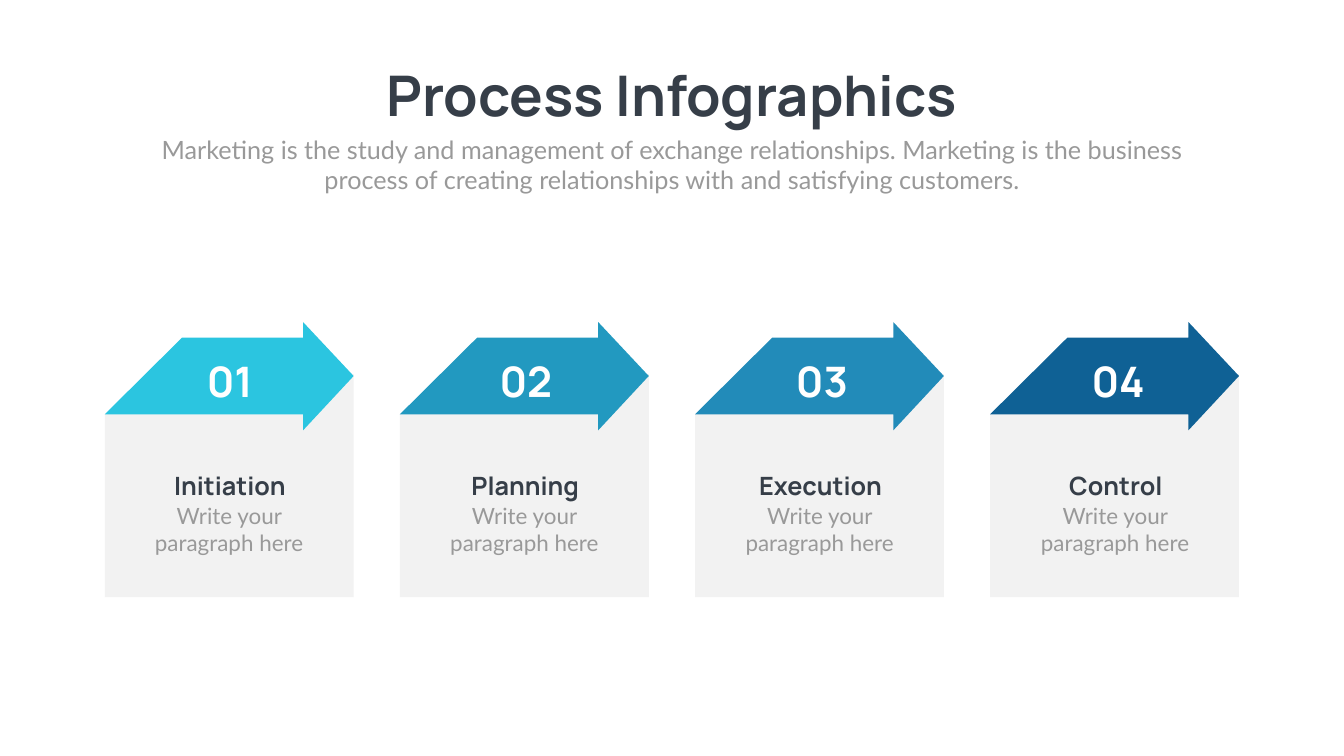
from pptx import Presentation
from pptx.dml.color import RGBColor
from pptx.enum.text import MSO_ANCHOR, MSO_AUTO_SIZE, PP_ALIGN
from pptx.util import Cm, Pt

CENTER = PP_ALIGN.CENTER
TOP = MSO_ANCHOR.TOP
GROW = MSO_AUTO_SIZE.SHAPE_TO_FIT_TEXT
TITLE_ONLY = 5

DARK, GRAY, PALE, WHITE = "363E48", "999999", "F2F2F2", "FFFFFF"

# Font formats by role
TITLE = {"name": "Manrope", "size": Pt(80), "bold": True, "color": DARK}
SUBTITLE = {"name": "Lato", "size": Pt(36), "bold": False, "color": GRAY}
NUMBER = {"name": "Manrope", "size": Pt(60), "bold": True, "color": WHITE}
HEADING = {"name": "Manrope", "size": Pt(36), "bold": True, "color": DARK}
BODY = {"name": "Lato", "size": Pt(32), "bold": False, "color": GRAY}

# Steps: name and arrow colour
STEPS = [
    ("Initiation", "2BC5E0"),
    ("Planning", "2299C0"),
    ("Execution", "228BB9"),
    ("Control", "0F6195"),
]

# Column grid and outlines in cm; outline x is measured from the column's left
COLUMN_LEFT, COLUMN_PITCH = 5.28, 14.87
NUMBER_LEFT, NUMBER_PITCH = 9.19, 14.92
LABEL_LEFT, LABEL_PITCH = 7.32, 14.88
CARD = [(0, 20.88), (12.54, 18.85), (12.54, 30.1), (0, 30.1)]
ARROW = [(9.99, 17.02), (3.89, 17.02), (0, 20.88), (9.99, 20.88),
         (9.99, 21.69), (12.54, 18.95), (9.99, 16.23)]


def color(hex_value):
    return RGBColor.from_string(hex_value)


def write_text(shape, text, font_format):
    """Fill a shape with one centred paragraph."""
    frame = shape.text_frame
    frame_format = {"word_wrap": True, "auto_size": GROW, "vertical_anchor": TOP}
    for attribute, value in frame_format.items():
        setattr(frame, attribute, value)
    paragraph = frame.paragraphs[0]
    paragraph.text = text
    paragraph.alignment = CENTER
    for attribute, value in font_format.items():
        if attribute == "color":
            paragraph.font.color.rgb = color(value)
        else:
            setattr(paragraph.font, attribute, value)


def add_title(slide, text, left, top, width, height):
    title = slide.shapes.title
    position = {"left": left, "top": top, "width": width, "height": height}
    for attribute, value in position.items():
        setattr(title, attribute, Cm(value))
    write_text(title, text, TITLE)


def add_text(shapes, text, font_format, left, top, width, height):
    box = shapes.add_textbox(Cm(left), Cm(top), Cm(width), Cm(height))
    write_text(box, text, font_format)


def add_outline(slide, outline, left, fill):
    points = [(Cm(left + x), Cm(y)) for x, y in outline]
    builder = slide.shapes.build_freeform(*points[0])
    builder.add_line_segments(points[1:], close=True)
    shape = builder.convert_to_shape()
    shape.shadow.inherit = False
    shape.fill.solid()
    shape.fill.fore_color.rgb = color(fill)
    shape.line.fill.background()


def add_step(slide, index, name, fill):
    # Card with its arrow on top
    column_left = COLUMN_LEFT + index * COLUMN_PITCH
    add_outline(slide, CARD, column_left, PALE)
    add_outline(slide, ARROW, column_left, fill)

    # Heading and paragraph belong together
    label_left = LABEL_LEFT + index * LABEL_PITCH
    label = slide.shapes.add_group_shape()
    add_text(label.shapes, name, HEADING, label_left, 23.6, 8.53, 1.8)
    add_text(label.shapes, "Write your paragraph here", BODY,
             label_left - 0.08, 25.17, 8.61, 3)

    # Number on the arrow
    add_text(slide.shapes, f"{index + 1:02d}", NUMBER,
             NUMBER_LEFT + index * NUMBER_PITCH, 17.78, 4.78, 2.82)


def main():
    presentation = Presentation()
    presentation.slide_width = Cm(67.72)
    presentation.slide_height = Cm(38.1)
    slide = presentation.slides.add_slide(presentation.slide_layouts[TITLE_ONLY])

    # Title and subtitle
    add_title(slide, "Process Infographics", 18.21, 2.9, 31.29, 3.68)
    add_text(slide.shapes,
             "Marketing is the study and management of exchange relationships. "
             "Marketing is the business process of creating relationships with "
             "and satisfying customers.",
             SUBTITLE, 7.42, 6.63, 52.88, 3.33)

    # Process steps
    for index, (name, fill) in enumerate(STEPS):
        add_step(slide, index, name, fill)

    presentation.save("out.pptx")


if __name__ == "__main__":
    main()
